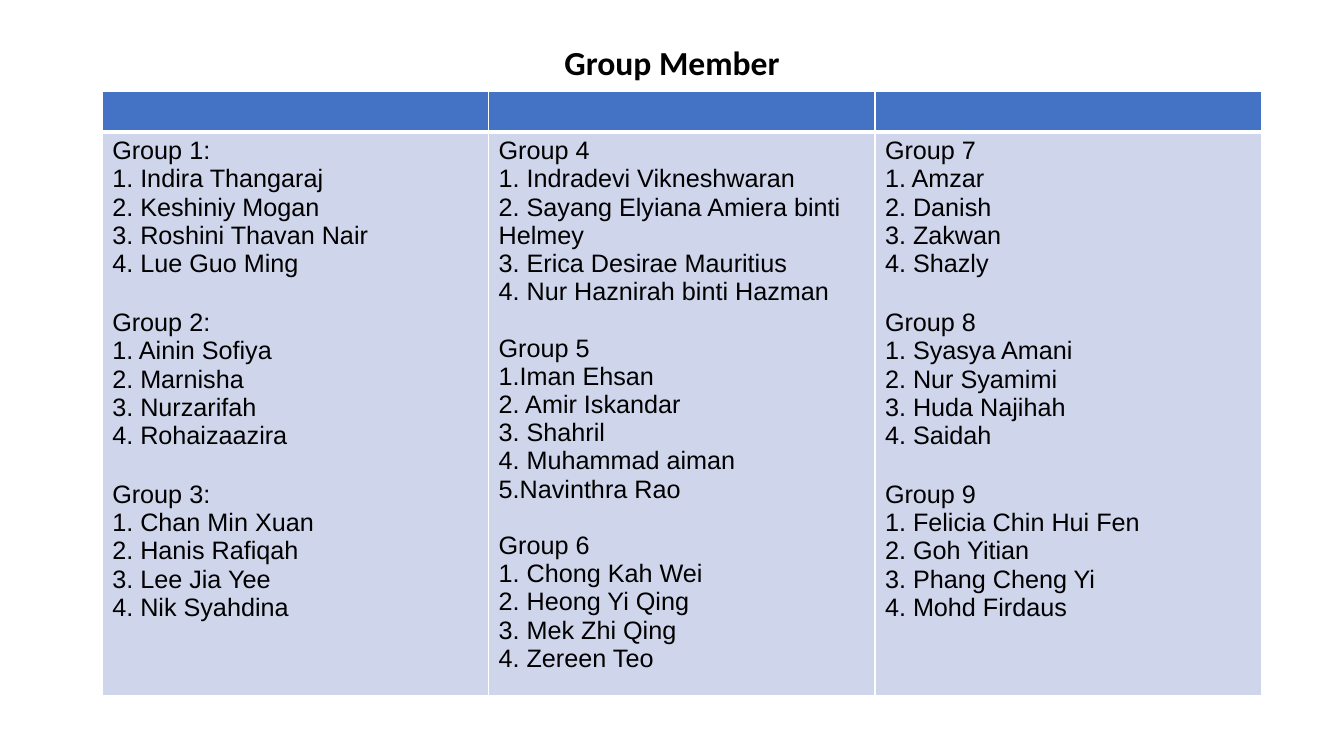
from dataclasses import dataclass

from lxml import etree
from pptx import Presentation
from pptx.dml.color import RGBColor
from pptx.enum.text import MSO_ANCHOR, PP_ALIGN
from pptx.oxml.ns import qn
from pptx.util import Pt

CENTER = PP_ALIGN.CENTER
MIDDLE = MSO_ANCHOR.MIDDLE

TITLE = "Group Member"
COLUMNS = [
    [
        ("Group 1:", ["1. Indira Thangaraj", "2. Keshiniy Mogan",
                      "3. Roshini Thavan Nair", "4. Lue Guo Ming"]),
        ("Group 2:", ["1. Ainin Sofiya", "2. Marnisha",
                      "3. Nurzarifah", "4. Rohaizaazira"]),
        ("Group 3:", ["1. Chan Min Xuan", "2. Hanis Rafiqah",
                      "3. Lee Jia Yee", "4. Nik Syahdina"]),
    ],
    [
        ("Group 4", ["1. Indradevi Vikneshwaran",
                     "2. Sayang Elyiana Amiera binti Helmey",
                     "3. Erica Desirae Mauritius",
                     "4. Nur Haznirah binti Hazman"]),
        ("Group 5", ["1.Iman Ehsan", "2. Amir Iskandar", "3. Shahril",
                     "4. Muhammad aiman", "5.Navinthra Rao"]),
        ("Group 6", ["1. Chong Kah Wei", "2. Heong Yi Qing",
                     "3. Mek Zhi Qing", "4. Zereen Teo"]),
    ],
    [
        ("Group 7", ["1. Amzar", "2. Danish", "3. Zakwan", "4. Shazly"]),
        ("Group 8", ["1. Syasya Amani", "2. Nur Syamimi",
                     "3. Huda Najihah", "4. Saidah"]),
        ("Group 9", ["1. Felicia Chin Hui Fen", "2. Goh Yitian",
                     "3. Phang Cheng Yi", "4. Mohd Firdaus"]),
    ],
]
GAPS = [22, 20, 22]
ROWS = [29, 402.5]
LEFT, TOP, WIDTH = 73, 65, 828


@dataclass(frozen=True)
class Theme:
    head: str = "4472C4"
    body: str = "CFD5EA"
    ink: str = "000000"
    rule: str = "FFFFFF"
    title_font: str = "Calibri"
    body_font: str = "Arial"
    title_size: int = 24
    body_size: int = 18


THEME = Theme()


def add_run(para, text, font, size, bold=False):
    run = para.add_run()
    run.text = text
    run.font.name = font
    run.font.size = Pt(size)
    run.font.bold = bold
    run.font.color.rgb = RGBColor.from_string(THEME.ink)


def style_cell(cell, color, top, bottom):
    props = cell._tc.get_or_add_tcPr()
    for side, width in zip("LRTB", (1, 1, top, bottom)):
        line = etree.SubElement(props, qn(f"a:ln{side}"), w=str(Pt(width)))
        fill = etree.SubElement(line, qn("a:solidFill"))
        etree.SubElement(fill, qn("a:srgbClr"), val=THEME.rule)
    cell.fill.solid()
    cell.fill.fore_color.rgb = RGBColor.from_string(color)


def fill_groups(frame, groups, gap):
    para = frame.paragraphs[0]
    for index, (name, members) in enumerate(groups):
        if index:
            para = frame.add_paragraph()
            para.space_before = Pt(gap)
        add_run(para, name, THEME.body_font, THEME.body_size)
        for member in members:
            para = frame.add_paragraph()
            add_run(para, member, THEME.body_font, THEME.body_size)


def add_title(slide):
    title = slide.shapes.title
    title.left, title.top = Pt(66), Pt(29)
    title.width, title.height = Pt(WIDTH), Pt(34)
    frame = title.text_frame
    frame.word_wrap = True
    frame.vertical_anchor = MIDDLE
    para = frame.paragraphs[0]
    para.alignment = CENTER
    para.line_spacing = 0.9
    add_run(para, TITLE, THEME.title_font, THEME.title_size, True)


def add_groups(slide):
    count = len(COLUMNS)
    table = slide.shapes.add_table(
        len(ROWS), count, Pt(LEFT), Pt(TOP), Pt(WIDTH), Pt(sum(ROWS))
    ).table
    for row, height in zip(table.rows, ROWS):
        row.height = Pt(height)
    for index, (groups, gap) in enumerate(zip(COLUMNS, GAPS)):
        table.columns[index].width = Pt(WIDTH / count)
        style_cell(table.cell(0, index), THEME.head, 1, 3)
        cell = table.cell(1, index)
        style_cell(cell, THEME.body, 3, 1)
        fill_groups(cell.text_frame, groups, gap)


def main():
    deck = Presentation()
    deck.slide_width, deck.slide_height = Pt(960), Pt(540)
    slide = deck.slides.add_slide(deck.slide_layouts[5])
    add_title(slide)
    add_groups(slide)
    deck.save("out.pptx")


if __name__ == "__main__":
    main()
